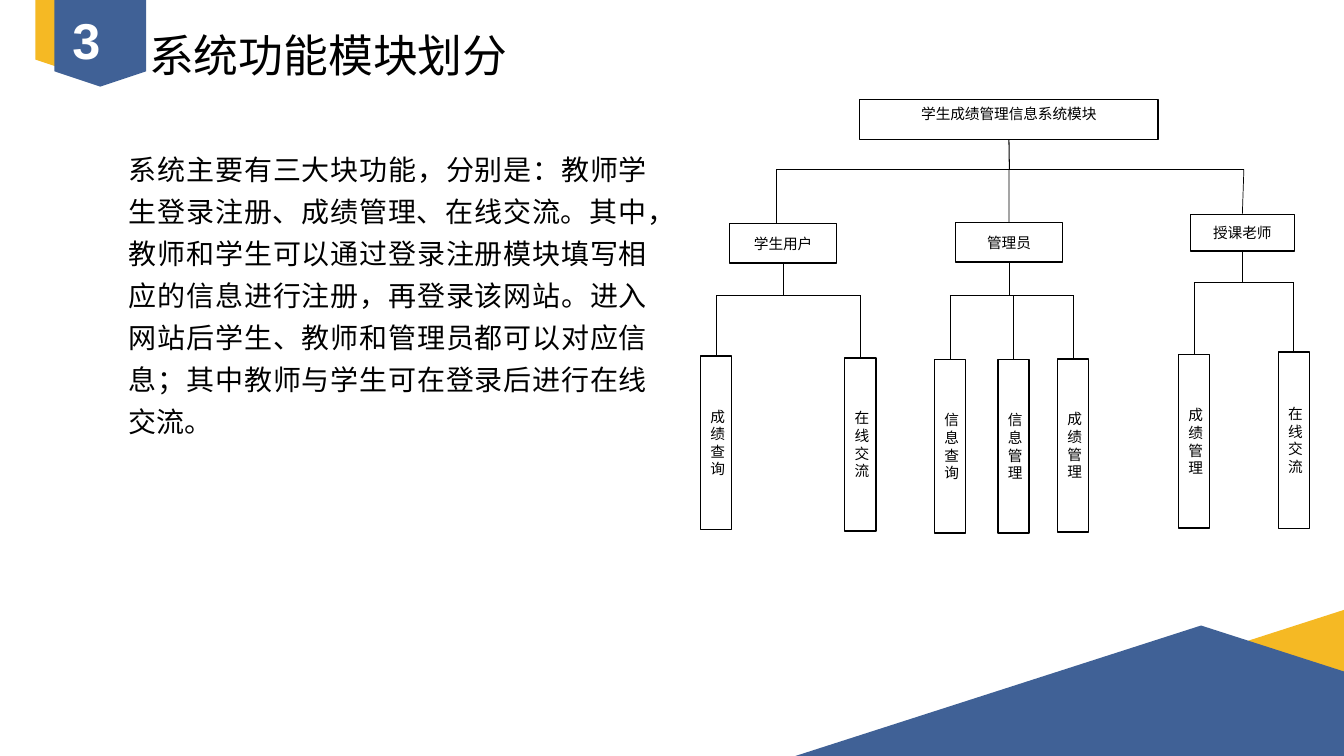
from lxml import etree
from pptx import Presentation
from pptx.dml import color
from pptx.enum import shapes, text
from pptx.oxml import ns
from pptx.util import Pt

BLUE, GOLD, BLACK, WHITE = "406196", "F5B924", "000000", "FFFFFF"
CJK = "Noto Sans CJK SC"
TOP, BOTTOM = 0, 2
CENTER, JUSTIFY = text.PP_ALIGN.CENTER, text.PP_ALIGN.JUSTIFY
LEAF_WIDTH = 22.3

INTRO = (
    "系统主要有三大块功能，分别是：教师学生登录注册、成绩管理、在线交流。其中，"
    "教师和学生可以通过登录注册模块填写相应的信息进行注册，再登录该网站。"
    "进入网站后学生、教师和管理员都可以对应信息；其中教师与学生可在登录后进行在线交流。"
)
TRUNK_Y = 121
# role, its box, x on the trunk, y of its branch, modules (name, left, top, height)
ROLES = [
    ("学生用户", (521.3, 159.8, 76.3, 28.1), 554.4, 211, [
        ("成绩查询", 500.4, 254.2, 123.8),
        ("在线交流", 603.4, 255.6, 123.8)]),
    ("管理员", (682.6, 159.1, 76.3, 28.1), 720.7, 211, [
        ("信息查询", 667.4, 257, 123.8),
        ("信息管理", 712.8, 257, 123.8),
        ("成绩管理", 755.3, 256.3, 123.8)]),
    ("授课老师", (850.3, 153.4, 74.2, 25.9), 888.5, 201.6, [
        ("成绩管理", 841.7, 253.4, 123.8),
        ("在线交流", 913, 251.3, 126)]),
]


def rgb(value):
    return color.RGBColor.from_string(value)


def format_text(frame, words, size, font, ink, align=None, bold=False):
    frame.text = words
    paragraph = frame.paragraphs[0]
    paragraph.alignment = align
    run = paragraph.runs[0]
    run.font.size, run.font.name, run.font.bold = Pt(size), font, bold
    run.font.color.rgb = rgb(ink)
    east_asian = etree.SubElement(run.font._element, ns.qn("a:ea"))
    east_asian.set("typeface", CJK)
    return paragraph


def add_chevron(slide, box, fill, rotation, point=0.5):
    chevron = slide.shapes.add_shape(shapes.MSO_SHAPE.CHEVRON, *map(Pt, box))
    chevron.adjustments[0] = point
    chevron.rotation = rotation
    chevron.shadow.inherit = False
    chevron.fill.solid()
    chevron.fill.fore_color.rgb = rgb(fill)
    chevron.line.fill.background()


def add_label(slide, box, words, size, font, ink, wrap=False, **style):
    label = slide.shapes.add_textbox(*map(Pt, box))
    label.text_frame.word_wrap = wrap
    label.text_frame.auto_size = text.MSO_AUTO_SIZE.SHAPE_TO_FIT_TEXT
    return format_text(label.text_frame, words, size, font, ink, **style)


def add_module(slide, box, words, align=CENTER, weight=1.0,
               preset=shapes.MSO_SHAPE.FLOWCHART_PROCESS,
               anchor=text.MSO_ANCHOR.MIDDLE):
    module = slide.shapes.add_shape(preset, *map(Pt, box))
    module.shadow.inherit = False
    module.fill.solid()
    module.fill.fore_color.rgb = rgb(WHITE)
    module.line.color.rgb = rgb(BLACK)
    module.line.width = Pt(weight)
    module.text_frame.word_wrap = True
    module.text_frame.vertical_anchor = anchor
    format_text(module.text_frame, words, 10.5, "Times New Roman", BLACK, align)
    return module


def add_line(slide, start, end, weight=0.5, leaves=None, enters=None):
    """Draw a line, joined to the bottom of `leaves` and the top of `enters`."""
    line = slide.shapes.add_connector(
        shapes.MSO_CONNECTOR.STRAIGHT, *map(Pt, (*start, *end)))
    if leaves is not None:
        line.begin_connect(leaves, BOTTOM)
    if enters is not None:
        line.end_connect(enters, TOP)
    line.line.color.rgb = rgb(BLACK)
    line.line.width = Pt(weight)
    etree.SubElement(line._element.spPr, ns.qn("a:effectLst"))


def add_role(slide, name, box, trunk_x, branch_y, modules):
    left, top, width, height = box
    middle = left + width / 2
    role = add_module(slide, box, name)
    # The student line meets its box beside the middle of the top side.
    centred = abs(trunk_x - middle) < 2
    add_line(slide, (trunk_x, TRUNK_Y), (trunk_x, top),
             enters=role if centred else None)
    add_line(slide, (middle, top + height), (middle, branch_y), leaves=role)

    centres = [module_left + LEAF_WIDTH / 2 for _, module_left, _, _ in modules]
    add_line(slide, (centres[0], branch_y), (centres[-1], branch_y))
    for x, (words, module_left, module_top, module_height) in zip(centres, modules):
        module = add_module(
            slide, (module_left, module_top, LEAF_WIDTH, module_height), words, JUSTIFY)
        add_line(slide, (x, branch_y), (x, module_top), enters=module)


def add_decoration(slide):
    add_chevron(slide, (893.5, 295.2, 133.2, 414), GOLD, 270)
    add_chevron(slide, (763.2, 247, 189.4, 589), BLUE, 270)
    add_chevron(slide, (11.5, -13.7, 78.5, 51.1), GOLD, 90, 0.167)
    add_chevron(slide, (21.6, -20.9, 100.1, 65.5), BLUE, 90, 0.167)


def add_module_tree(slide):
    root = add_module(slide, (614.2, 71.3, 213, 28.4), "学生成绩管理信息系统模块",
                      weight=0.75, preset=shapes.MSO_SHAPE.RECTANGLE,
                      anchor=text.MSO_ANCHOR.TOP)
    add_line(slide, (720.7, 99.7), (721, TRUNK_Y), weight=0.75, leaves=root)
    trunk = [trunk_x for _, _, trunk_x, _, _ in ROLES]
    add_line(slide, (trunk[0], TRUNK_Y), (trunk[-1], TRUNK_Y))
    for role in ROLES:
        add_role(slide, *role)


def main():
    deck = Presentation()
    deck.slide_width, deck.slide_height = Pt(960), Pt(540)
    slide = deck.slides.add_slide(deck.slide_layouts[6])
    add_decoration(slide)
    add_label(slide, (99.4, 16.6, 272.9, 46.1), "系统功能模块划分", 32, CJK, BLACK)
    add_label(slide, (44.6, 2.9, 34.6, 51.1), "3", 36, "Arial", WHITE, bold=True)
    intro = add_label(slide, (85, 99.4, 384.5, 219.6), INTRO, 20,
                      "Times New Roman", BLACK, wrap=True, align=JUSTIFY)
    intro.line_spacing = 1.25
    add_module_tree(slide)
    deck.save("out.pptx")


if __name__ == "__main__":
    main()
